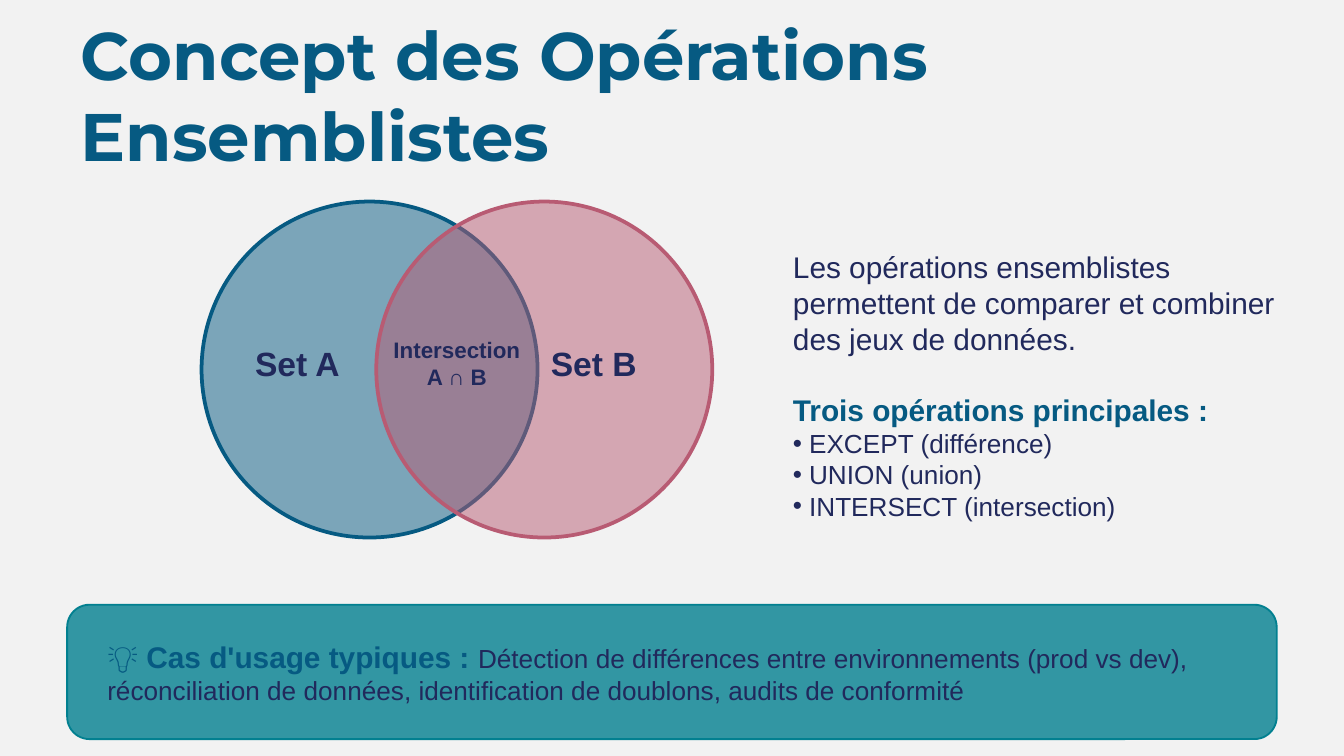
from lxml import etree
from pptx import Presentation
from pptx.dml import color
from pptx.enum import shapes, text
from pptx.oxml import ns
from pptx.util import Pt

PX = 4572
BLUE, NAVY, ROSE, TEAL = "065A82", "21295C", "B85B73", "028090"
HEAD = {"size": Pt(16), "bold": True, "hue": BLUE}
NOTE = {"size": Pt(14), "bold": False, "hue": NAVY}


def rgb(code):
    return color.RGBColor.from_string(code)


class Deck:
    font = "Arial"

    def __init__(self, wide, high):
        self.prs = Presentation()
        self.prs.slide_width = wide * PX
        self.prs.slide_height = high * PX
        self.slide = self.prs.slides.add_slide(self.prs.slide_layouts[1])
        fill = self.slide.background.fill
        fill.solid()
        fill.fore_color.rgb = rgb("F2F2F2")

    def place(self, item, box):
        for name, val in zip(("left", "top", "width", "height"), box):
            setattr(item, name, val * PX)

    def frame(self, item, anchor):
        frame = item.text_frame
        look = {
            "word_wrap": True,
            "auto_size": text.MSO_AUTO_SIZE.NONE,
            "vertical_anchor": anchor,
        }
        for name, val in look.items():
            setattr(frame, name, val)
        return frame

    def fill_in(self, frame, paras, align=text.PP_ALIGN.LEFT):
        for i, runs in enumerate(paras):
            para = frame.paragraphs[0] if i == 0 else frame.add_paragraph()
            para.alignment = align
            para.space_before = Pt(0)
            for words, look in runs:
                run = para.add_run()
                run.text = words
                for name, val in {"name": self.font, **look}.items():
                    if name == "hue":
                        run.font.color.rgb = rgb(val)
                    else:
                        setattr(run.font, name, val)

    def title(self, box, words, look):
        item = self.slide.shapes.title
        self.place(item, box)
        self.fill_in(self.frame(item, text.MSO_ANCHOR.MIDDLE), [[(words, look)]])

    def body(self, box, intro, head, items):
        item = self.slide.placeholders[1]
        self.place(item, box)
        frame = self.frame(item, text.MSO_ANCHOR.TOP)
        plain = {**HEAD, "bold": False, "hue": NAVY}
        rows = [(intro, plain), (head, HEAD)] + [(row, NOTE) for row in items]
        self.fill_in(frame, [[row] for row in rows])
        for i, para in enumerate(frame.paragraphs):
            props = para._p.get_or_add_pPr()
            dent = 24 * PX if i > 1 else 0
            props.set("marL", str(dent))
            props.set("indent", str(-dent))
            if dent:
                etree.SubElement(props, ns.qn("a:buChar")).set("char", "•")
            else:
                etree.SubElement(props, ns.qn("a:buNone"))
        frame.paragraphs[1].space_before = Pt(19)

    def label(self, box, paras, align=text.PP_ALIGN.LEFT):
        item = self.slide.shapes.add_textbox(*(n * PX for n in box))
        self.fill_in(self.frame(item, text.MSO_ANCHOR.MIDDLE), paras, align)

    def shape(self, kind, box, hue, alpha, line):
        item = self.slide.shapes.add_shape(kind, *(n * PX for n in box))
        item.shadow.inherit = False
        item.fill.solid()
        item.fill.fore_color.rgb = rgb(hue)
        tint = item._element.spPr.find(ns.qn("a:solidFill"))[0]
        etree.SubElement(tint, ns.qn("a:alpha")).set("val", str(alpha * 1000))
        item.line.color.rgb = rgb(hue)
        item.line.width = Pt(line)


def main():
    deck = Deck(2000, 1125)
    deck.title(
        (100, 80, 1800, 120),
        "Concept des Opérations Ensemblistes",
        {"name": "Montserrat", "size": Pt(36), "bold": True, "hue": BLUE},
    )
    deck.body(
        (1160, 360, 800, 500),
        "Les opérations ensemblistes permettent de comparer et combiner des jeux de données.",
        "Trois opérations principales :",
        ["EXCEPT (différence)", "UNION (union)", "INTERSECT (intersection)"],
    )

    mark = {"size": Pt(18), "bold": True, "hue": NAVY}
    sets = [("Set A", 300, 360, BLUE), ("Set B", 560, 800, ROSE)]
    for name, left, start, hue in sets:
        deck.shape(shapes.MSO_SHAPE.OVAL, (left, 300, 500, 500), hue, 50, 2)
        deck.label((start, 500, 200, 80), [[(name, mark)]])
    small = {**mark, "size": Pt(12)}
    deck.label(
        (560, 480, 240, 120),
        [[("Intersection", small)], [("A ∩ B", small)]],
        text.PP_ALIGN.CENTER,
    )

    deck.shape(shapes.MSO_SHAPE.ROUNDED_RECTANGLE, (100, 900, 1800, 200), TEAL, 80, 1)
    uses = (
        "Détection de différences entre environnements (prod vs dev), "
        "réconciliation de données, identification de doublons, audits de conformité"
    )
    deck.label((140, 930, 1720, 140), [[("💡 Cas d'usage typiques : ", HEAD), (uses, NOTE)]])
    deck.prs.save("out.pptx")


if __name__ == "__main__":
    main()
